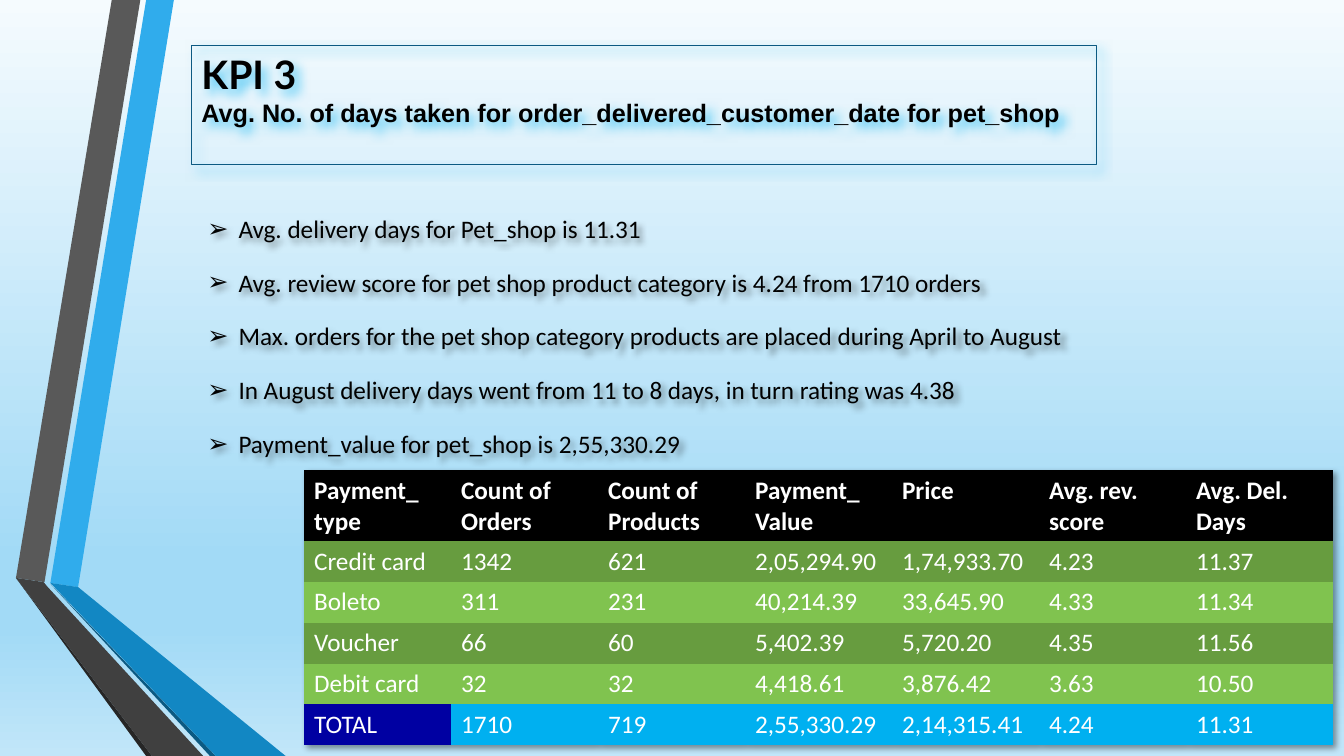
from pptx import Presentation
from pptx.dml.color import RGBColor
from pptx.enum.shapes import MSO_SHAPE
from pptx.enum.text import MSO_ANCHOR, PP_ALIGN
from pptx.oxml import parse_xml
from pptx.oxml.ns import nsdecls, qn
from pptx.util import Inches, Pt

RECT = MSO_SHAPE.RECTANGLE
TOP = MSO_ANCHOR.TOP
LEFT, JUSTIFY = PP_ALIGN.LEFT, PP_ALIGN.JUSTIFY

COLS, ROWS = 160, 90
UNIT = Inches(7.5) / ROWS  # the grid is square: 160 by 90 units

BLACK = RGBColor(0x00, 0x00, 0x00)
INK = RGBColor(0x01, 0x01, 0x01)
WHITE = RGBColor(0xFF, 0xFF, 0xFF)
SKY = RGBColor(0x30, 0xAC, 0xEC)
BLUE = RGBColor(0x12, 0x87, 0xC3)
DEEP_BLUE = RGBColor(0x0C, 0x5A, 0x82)
GREY = RGBColor(0x59, 0x59, 0x59)
DARK_GREY = RGBColor(0x40, 0x40, 0x40)
CHARCOAL = RGBColor(0x26, 0x26, 0x26)
GREEN = RGBColor(0x67, 0x9C, 0x3F)
LIGHT_GREEN = RGBColor(0x80, 0xC3, 0x4F)
NAVY = RGBColor(0x00, 0x00, 0xA2)
CYAN = RGBColor(0x00, 0xB0, 0xF0)
BACKGROUND = [(0, RGBColor(0xF5, 0xFB, 0xFE)), (74, RGBColor(0xA2, 0xDA, 0xF6)),
              (83, RGBColor(0xA2, 0xDA, 0xF6)), (100, RGBColor(0xC1, 0xE6, 0xF9))]

RIBBONS = [
    (SKY, [(6, 69.4), (9.3, 69.9), (20.7, 0), (17.4, 0)]),
    (GREY, [(16.7, 0), (13.3, 0), (1.9, 68.8), (5.3, 69.3)]),
    (CHARCOAL, [(1.9, 68.8), (17.4, 90), (18.1, 90)]),
    (DEEP_BLUE, [(6, 69.5), (25, 90), (25.7, 90)]),
    (BLUE, [(6, 69.4), (25.7, 90), (34, 90), (9.3, 69.9)]),
    (DARK_GREY, [(24.2, 90), (5.7, 69.9), (5.2, 69.3), (1.9, 68.8), (18.1, 90)]),
]

FINDINGS = [
    ("Avg. delivery days for Pet_shop is 11.31", INK, LEFT),
    ("Avg. review score for pet shop product category is 4.24 from 1710 orders", INK, LEFT),
    ("Max. orders for the pet shop category products are placed during April to August", INK, LEFT),
    ("In August delivery days went from 11 to 8 days, in turn rating was 4.38", BLACK, JUSTIFY),
    ("Payment_value for pet_shop is 2,55,330.29", INK, LEFT),
]

PAYMENTS = [
    ["Payment_ type", "Count of Orders", "Count of Products", "Payment_ Value", "Price",
     "Avg. rev. score", "Avg. Del. Days"],
    ["Credit card", "1342", "621", "2,05,294.90", "1,74,933.70", "4.23", "11.37"],
    ["Boleto", "311", "231", "40,214.39", "33,645.90", "4.33", "11.34"],
    ["Voucher", "66", "60", "5,402.39", "5,720.20", "4.35", "11.56"],
    ["Debit card", "32", "32", "4,418.61", "3,876.42", "3.63", "10.50"],
    ["TOTAL", "1710", "719", "2,55,330.29", "2,14,315.41", "4.24", "11.31"],
]
ROW_FILLS = [BLACK, GREEN, LIGHT_GREEN, GREEN, LIGHT_GREEN, CYAN]
NO_STYLE = "{2D5ABB26-0587-4C30-8999-92F81FD0307C}"


def units(*lengths):
    return [round(n * UNIT) for n in lengths]


def shadow(color, blur, dist, alpha):
    """Effect list with one shadow towards the lower right; blur and dist in points."""
    return parse_xml(
        f'<a:effectLst {nsdecls("a")}><a:outerShdw blurRad="{Pt(blur)}" dist="{Pt(dist)}" '
        f'dir="2700000" algn="tl" rotWithShape="0"><a:srgbClr val="{color}">'
        f'<a:alpha val="{alpha * 1000}"/></a:srgbClr></a:outerShdw></a:effectLst>')


def write(p, text, font="Calibri", size=18, color=BLACK, bold=False, align=LEFT):
    p.alignment = align
    r = p.add_run()
    r.text = text
    r.font.name, r.font.size, r.font.bold = font, Pt(size), bold
    r.font.color.rgb = color


def add_bullet(p, mark, indent):
    pPr = p._p.get_or_add_pPr()
    pPr.set("marL", str(Inches(indent)))
    pPr.set("indent", str(-Inches(indent)))
    pPr.append(parse_xml(f'<a:buFont {nsdecls("a")} typeface="Arial"/>'))
    pPr.append(parse_xml(f'<a:buChar {nsdecls("a")} char="{mark}"/>'))


class KpiSlide:
    def __init__(self, prs):
        self.s = prs.slides.add_slide(prs.slide_layouts[6])
        self.shapes = self.s.shapes

    def background(self, stops):
        fill = self.s.background.fill
        fill.gradient()
        fill.gradient_angle = 270
        gs_list = self.s._element.find(".//" + qn("a:gsLst"))
        for gs in list(gs_list):
            gs_list.remove(gs)
        for pos, color in stops:
            gs_list.append(parse_xml(f'<a:gs {nsdecls("a")} pos="{pos * 1000}">'
                                     f'<a:srgbClr val="{color}"/></a:gs>'))

    def ribbon(self, color, points):
        start, *rest = [units(*pt) for pt in points]
        builder = self.shapes.build_freeform(*start)
        builder.add_line_segments(rest)
        sp = builder.convert_to_shape()
        sp.shadow.inherit = False
        sp.fill.solid()
        sp.fill.fore_color.rgb = color
        sp.line.fill.background()

    def title(self, box, heading, subtitle):
        sp = self.shapes.add_shape(RECT, *units(*box))
        sp.fill.background()
        sp.line.color.rgb = DEEP_BLUE
        sp.line.width = Pt(0.75)
        sp._element.spPr.append(shadow(CYAN, 8, 5, 70))
        tf = sp.text_frame
        tf.word_wrap = True
        tf.vertical_anchor = TOP
        write(tf.paragraphs[0], heading, font="Lato", size=28, bold=True)
        write(tf.add_paragraph(), subtitle, font="Arial", bold=True)

    def finding(self, box, text, color, align):
        sp = self.shapes.add_textbox(*units(*box))
        sp._element.spPr.append(shadow(BLACK, 4, 3, 40))
        tf = sp.text_frame
        tf.word_wrap = True
        write(tf.paragraphs[0], text, color=color, align=align)
        add_bullet(tf.paragraphs[0], "➢", 0.31)

    def table(self, left, top, col_width, header_height, row_height, rows, fills):
        n_rows, n_cols = len(rows), len(rows[0])
        height = header_height + row_height * (n_rows - 1)
        frame = self.shapes.add_table(n_rows, n_cols,
                                      *units(left, top, col_width * n_cols, height))
        table = frame.table
        tblPr = table._tbl.tblPr
        tblPr.find(qn("a:tableStyleId")).text = NO_STYLE
        tblPr.insert(0, shadow(BLACK, 4, 3, 40))
        for i, (values, fill) in enumerate(zip(rows, fills)):
            table.rows[i].height = units(row_height if i else header_height)[0]
            for j, value in enumerate(values):
                cell = table.cell(i, j)
                cell.fill.solid()
                cell.fill.fore_color.rgb = fill
                write(cell.text_frame.paragraphs[0], value, color=WHITE, bold=i == 0)
        total = table.cell(n_rows - 1, 0)
        total.fill.fore_color.rgb = NAVY


def main():
    prs = Presentation()
    prs.slide_width, prs.slide_height = units(COLS, ROWS)
    kpi = KpiSlide(prs)
    kpi.background(BACKGROUND)
    for color, points in RIBBONS:
        kpi.ribbon(color, points)
    kpi.title((22.8, 5.4, 107.7, 14.2), "KPI 3",
              "Avg. No. of days taken for order_delivered_customer_date for pet_shop")
    for i, (text, color, align) in enumerate(FINDINGS):
        kpi.finding((23.5, 24.8 + 6.4 * i, 105.4, 4.8), text, color, align)
    kpi.table(36.2, 56, 17.5, 8.4, 4.87, PAYMENTS, ROW_FILLS)
    prs.save("out.pptx")


if __name__ == "__main__":
    main()
